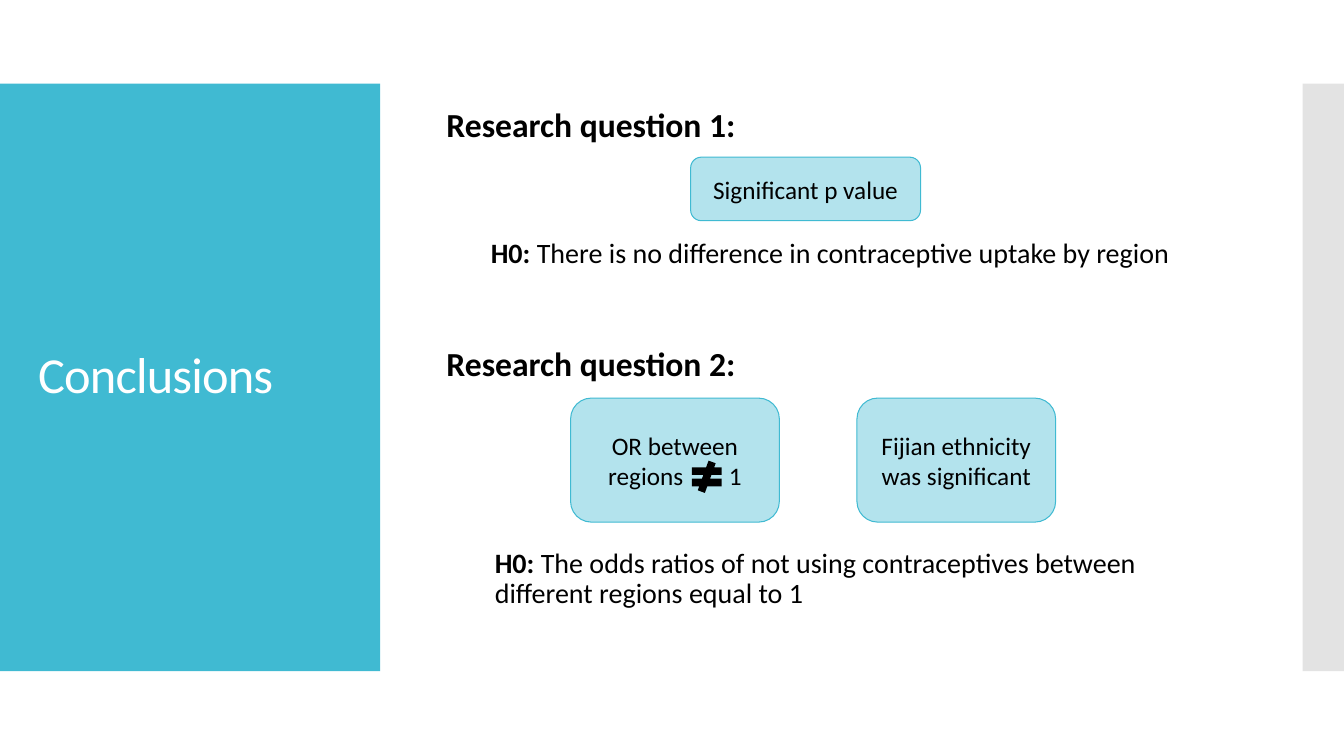
from dataclasses import dataclass

from lxml.etree import SubElement
from pptx import Presentation
from pptx.dml.color import RGBColor
from pptx.enum.shapes import MSO_SHAPE
from pptx.enum.text import MSO_ANCHOR, PP_ALIGN
from pptx.oxml.ns import qn
from pptx.util import Emu, Pt

EMU_PER_PX = 9144


def px(length):
    return Emu(length * EMU_PER_PX)


@dataclass(frozen=True)
class Theme:
    font: str = "Calibri"
    teal: str = "40BAD2"
    pale_teal: str = "B3E3ED"
    grey: str = "C8C8C8"
    black: str = "000000"
    white: str = "FFFFFF"
    title_size: int = 36
    heading_size: int = 24
    body_size: int = 20
    card_size: int = 18


class SlideBuilder:
    def __init__(self, page, theme):
        self.page = page
        self.theme = theme

    def shape(self, kind, frame, fill, line=None, opacity=100):
        shape = self.page.shapes.add_shape(kind, *map(px, frame))
        shape.shadow.inherit = False
        shape.fill.solid()
        shape.fill.fore_color.rgb = RGBColor.from_string(fill)
        if opacity < 100:
            color = shape.fill._xPr.find(".//" + qn("a:srgbClr"))
            SubElement(color, qn("a:alpha"), val=str(opacity * 1000))
        if line:
            shape.line.color.rgb = RGBColor.from_string(line)
            shape.line.width = Pt(0.75)
        else:
            shape.line.fill.background()
        return shape

    def span(self, para, text, size, color, bold=False, spacing=0):
        span = para.add_run()
        span.text = text
        span.font.name = self.theme.font
        span.font.size = Pt(size)
        span.font.bold = bold
        span.font.color.rgb = RGBColor.from_string(color)
        if spacing:
            span.font._element.set("spc", str(round(spacing * 100)))

    def text_box(self, frame, anchor, line_spacing=1.0):
        box = self.page.shapes.add_textbox(*map(px, frame))
        box.text_frame.word_wrap = True
        box.text_frame.vertical_anchor = anchor
        para = box.text_frame.paragraphs[0]
        para.line_spacing = line_spacing
        return box, para

    def title(self, frame, text):
        box, para = self.text_box(frame, MSO_ANCHOR.MIDDLE, 0.9)
        self.span(para, text, self.theme.title_size, self.theme.white, spacing=-0.6)

    def heading(self, frame, text):
        box, para = self.text_box(frame, MSO_ANCHOR.TOP)
        self.span(para, text, self.theme.heading_size, self.theme.black, bold=True)

    def hypothesis(self, frame, text, right_inset=10):
        box, para = self.text_box(frame, MSO_ANCHOR.MIDDLE, 0.9)
        box.text_frame.margin_right = px(right_inset)
        self.span(para, "H0: ", self.theme.body_size, self.theme.black, bold=True)
        self.span(para, text, self.theme.body_size, self.theme.black)

    def card(self, frame, *pieces):
        card = self.shape(MSO_SHAPE.ROUNDED_RECTANGLE, frame,
                          self.theme.pale_teal, self.theme.teal)
        card.text_frame.word_wrap = True
        card.text_frame.vertical_anchor = MSO_ANCHOR.MIDDLE
        para = card.text_frame.paragraphs[0]
        para.alignment = PP_ALIGN.CENTER
        for text, spacing in pieces:
            self.span(para, text, self.theme.card_size, self.theme.black, spacing=spacing)


def main():
    deck = Presentation()
    deck.slide_width, deck.slide_height = px(1333), px(750)
    theme = Theme()
    slide = SlideBuilder(deck.slides.add_slide(deck.slide_layouts[6]), theme)

    slide.shape(MSO_SHAPE.RECTANGLE, (0, 83, 377, 583), theme.teal)
    slide.shape(MSO_SHAPE.RECTANGLE, (1292, 83, 41, 583), theme.grey, opacity=50)
    slide.title((28, 123, 322, 503), "Conclusions")

    for number, top in enumerate((98, 335), start=1):
        slide.heading((433, top, 324, 50), f"Research question {number}:")

    slide.hypothesis((477, 216, 796, 73),
                     "There is no difference in contraceptive uptake by region")
    slide.hypothesis((481, 516, 780, 118),
                     "The odds ratios of not using contraceptives between "
                     "different regions equal to 1", right_inset=80)

    slide.card((685, 156, 228, 63), ("Significant p value", 0))
    slide.card((566, 395, 207, 123), ("OR between regions", 0), (" ", 28.5), ("1", 0))
    slide.card((850, 395, 197, 123), ("Fijian ethnicity was significant", 0))
    slide.shape(MSO_SHAPE.MATH_NOT_EQUAL, (681, 457, 40, 32), theme.black)

    deck.save("out.pptx")


if __name__ == "__main__":
    main()
